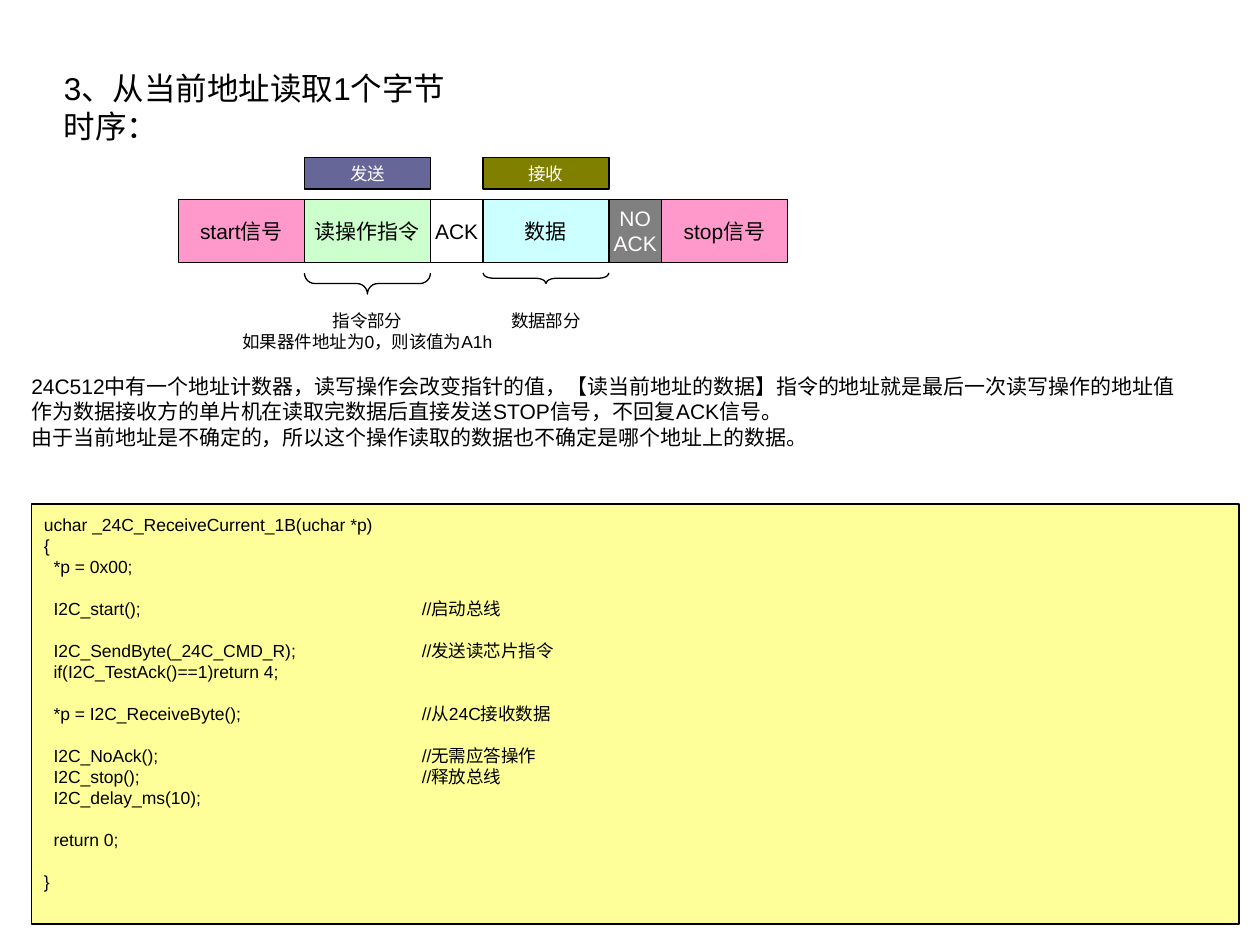
from pptx import Presentation
from pptx import util as u
from pptx.dml.color import RGBColor
from pptx.enum import shapes, text
from lxml import etree

BLACK = RGBColor(0, 0, 0)
WHITE = RGBColor(255, 255, 255)
PINK = RGBColor(0xFF, 0x99, 0xCC)
GREEN = RGBColor(0xCC, 0xFF, 0xCC)
CYAN = RGBColor(0xCC, 0xFF, 0xFF)
GRAY = RGBColor(0x80, 0x80, 0x80)
OLIVE = RGBColor(0x80, 0x80, 0)
SLATE = RGBColor(0x66, 0x66, 0x99)
YELLOW = RGBColor(0xFF, 0xFF, 0x99)

# Content
TITLE = "3、从当前地址读取1个字节\n时序："
NOTES = """24C512中有一个地址计数器，读写操作会改变指针的值，【读当前地址的数据】指令的地址就是最后一次读写操作的地址值
作为数据接收方的单片机在读取完数据后直接发送STOP信号，不回复ACK信号。
由于当前地址是不确定的，所以这个操作读取的数据也不确定是哪个地址上的数据。"""

# Frame fields: label, columns, fill, font colour
FIELDS = [
    ("start信号", 12, PINK, BLACK),
    ("读操作指令", 12, GREEN, BLACK),
    ("ACK", 5, WHITE, BLACK),
    ("数据", 12, CYAN, BLACK),
    ("NO\nACK", 5, GRAY, WHITE),
    ("stop信号", 12, PINK, BLACK),
]
# Field index: tag, tag fill, brace depth, caption, caption columns and rows
PARTS = {
    1: ("发送", SLATE, 2, "指令部分\n如果器件地址为0，则该值为A1h", 30, 5),
    3: ("接收", OLIVE, 1, "数据部分", 14, 3),
}
# Groups of code lines, set apart by one line of space
CODE = [
    ["uchar _24C_ReceiveCurrent_1B(uchar *p)", "{", "  *p = 0x00;"],
    ["  I2C_start();\t//启动总线"],
    ["  I2C_SendByte(_24C_CMD_R);\t//发送读芯片指令",
     "  if(I2C_TestAck()==1)return 4;"],
    ["  *p = I2C_ReceiveByte();\t//从24C接收数据"],
    ["  I2C_NoAck();\t//无需应答操作", "  I2C_stop();\t//释放总线",
     "  I2C_delay_ms(10);"],
    ["  return 0;"],
    ["}"],
]

# The slide is a grid of 120 by 90 cells, 12 to the inch
CELL = u.Inches(1) // 12
LEFT, TAG, ROW, BRACE, CAP = 17, 15, 19, 26, 29

prs = Presentation()
prs.slide_width, prs.slide_height = 120 * CELL, 90 * CELL
slide = prs.slides.add_slide(prs.slide_layouts[6])


def area(*cells):
    return [round(n * CELL) for n in cells]


def write(shape, words, size, color=BLACK, center=True, middle=True):
    frame = shape.text_frame
    frame.text = words
    frame.word_wrap = False
    frame.vertical_anchor = (text.MSO_ANCHOR.MIDDLE if middle
                             else text.MSO_ANCHOR.TOP)
    for par in frame.paragraphs:
        par.alignment = text.PP_ALIGN.CENTER if center else text.PP_ALIGN.LEFT
        for run in par.runs:
            run.font.name = "Arial"
            run.font.size = u.Pt(size)
            run.font.color.rgb = color
    return frame


def label(words, size, *cells, **style):
    write(slide.shapes.add_textbox(*area(*cells)), words, size, **style)


def draw(kind, fill, *cells):
    shape = slide.shapes.add_shape(kind, *area(*cells))
    shape.shadow.inherit = False
    shape.line.color.rgb = BLACK
    shape.line.width = u.Pt(0.75)
    if fill is None:
        shape.fill.background()
    else:
        shape.fill.solid()
        shape.fill.fore_color.rgb = fill
    return shape


RECT = shapes.MSO_SHAPE.RECTANGLE

# Title and notes
label(TITLE, 18, 4.9, 6, 41, 8.4, center=False, middle=False)
label(NOTES, 12, 1.8, 35, 111.8, 8.4, center=False, middle=False)

# Frame fields, with tag, brace and caption for the two main parts
x = LEFT
for i, (name, cols, fill, ink) in enumerate(FIELDS):
    write(draw(RECT, fill, x, ROW, cols, 6), name, 12, ink)
    if i in PARTS:
        tag, hue, deep, note, wide, high = PARTS[i]
        mid = x + cols / 2
        write(draw(RECT, hue, x, TAG, cols, 3), tag, 10, WHITE)
        # An upright brace, turned about its centre so the tip points down
        brace = draw(shapes.MSO_SHAPE.LEFT_BRACE, None, mid - deep / 2,
                     BRACE + deep / 2 - cols / 2, deep, cols)
        brace.rotation = 270
        brace.adjustments[0] = 1 / deep
        label(note, 10, mid - wide / 2, CAP, wide, high)
    x += cols

# Code panel
lines = "\n".join(line for group in CODE for line in group)
frame = write(draw(RECT, YELLOW, 3, 48, 115, 40), lines, 10,
              center=False, middle=False)
frame.word_wrap = True
frame.margin_top = u.Inches(0.08)
starts, n = [], 0
for group in CODE:
    starts.append(n)
    n += len(group)
NS = "{http://schemas.openxmlformats.org/drawingml/2006/main}"
for n, par in enumerate(frame.paragraphs):
    tabs = etree.SubElement(par._p.get_or_add_pPr(), NS + "tabLst")
    etree.SubElement(tabs, NS + "tab", pos=str(u.Inches(3)), algn="l")
    if n in starts[1:]:
        par.space_before = u.Pt(12)

prs.save("out.pptx")
